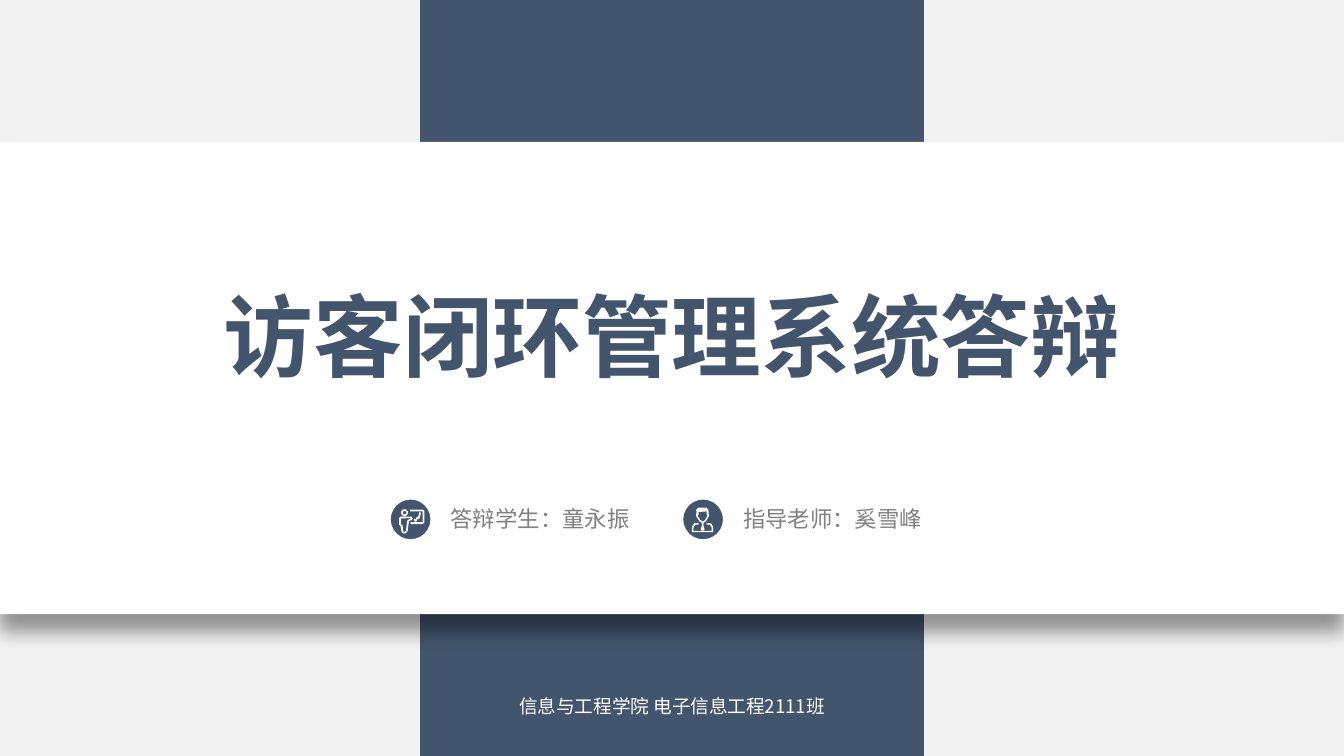
"""Build the title slide of a thesis defence."""
import pptx
import pptx.dml.color
import pptx.enum.shapes
import pptx.enum.text
import pptx.oxml.ns
import pptx.util
from lxml import etree

Pt = pptx.util.Pt
SHAPES = pptx.enum.shapes.MSO_SHAPE
FONT = "Noto Sans CJK SC"
NAVY, WHITE, GREY, PALE = "42556C", "FFFFFF", "808080", "F2F2F2"
WIDTH, HEIGHT = 720, 405
ICON_SIZE, ICON_TOP = 22.3, 267.1
ICON_UNIT = 0.072

TITLE = "访客闭环管理系统答辩"
DEPARTMENT = "信息与工程学院 电子信息工程2111班"

PRESENTER_ICON = [
    [(150, 82), (245, 82), (258, 92), (258, 178), (245, 190), (158, 190),
     (152, 183), (158, 176), (244, 176), (244, 95), (152, 95)],
    [(188, 172), (178, 155), (185, 150), (192, 157), (201, 136), (211, 139),
     (221, 102), (233, 105), (221, 150), (213, 154), (207, 151), (198, 172)],
    [(110, 132), (91, 124), (83, 105), (91, 86), (110, 78),
     (129, 86), (137, 105), (129, 124)],
    [(110, 92), (100, 96), (96, 105), (100, 115), (110, 119),
     (120, 115), (124, 105), (120, 96)],
    [(70, 145), (80, 134), (160, 134), (171, 148), (165, 159), (143, 168),
     (132, 245), (118, 260), (98, 260), (87, 245), (80, 204), (70, 195)],
    [(82, 148), (82, 191), (96, 201), (101, 248), (114, 248), (121, 240),
     (129, 168), (138, 157), (158, 149), (154, 146)],
]
TEACHER_ICON = [
    [(72, 250), (72, 210), (90, 182), (122, 182), (122, 194), (98, 194),
     (84, 212), (82, 240), (220, 240), (218, 212), (204, 194), (182, 194),
     (182, 182), (212, 182), (230, 210), (230, 250)],
    [(152, 242), (138, 228), (147, 196), (143, 185), (161, 185), (157, 196),
     (166, 228)],
    [(152, 183), (130, 172), (112, 145), (102, 128), (105, 112), (104, 85),
     (118, 67), (150, 68), (180, 67), (195, 85), (196, 112), (200, 128),
     (190, 145), (174, 172)],
    [(152, 171), (170, 160), (180, 140), (188, 128), (182, 118), (181, 95),
     (165, 97), (122, 100), (122, 118), (114, 128), (122, 140), (135, 160)],
]
PEOPLE = [
    ("答辩学生：童永振", 208.8, PRESENTER_ICON),
    ("指导老师：奚雪峰", 365.5, TEACHER_ICON),
]


def color(value):
    """Turn a hex string into a colour."""
    return pptx.dml.color.RGBColor.from_string(value)


def paint(shape, fill, line=None):
    """Set the fill and line of a shape and remove its shadow."""
    shape.shadow.inherit = False
    shape.fill.solid()
    shape.fill.fore_color.rgb = color(fill)
    if line:
        shape.line.color.rgb = color(line)
        shape.line.width = Pt(1)
    else:
        shape.line.fill.background()


def add_block(slide, kind, left, top, width, height, fill, line=None):
    """Add a painted preset shape."""
    shape = slide.shapes.add_shape(kind, Pt(left), Pt(top), Pt(width), Pt(height))
    paint(shape, fill, line)
    return shape


def add_shadow(shape):
    """Give a shape a soft shadow below it."""
    tag = pptx.oxml.ns.qn
    effects = shape._element.spPr.find(tag("a:effectLst"))
    shadow = etree.SubElement(effects, tag("a:outerShdw"), blurRad=str(Pt(10)),
                              dist=str(Pt(10)), dir="5400000", rotWithShape="0")
    shade = etree.SubElement(shadow, tag("a:srgbClr"), val="000000")
    etree.SubElement(shade, tag("a:alpha"), val="40000")


def add_icon(slide, contours, left, top):
    """Draw a white icon from closed contours."""
    builder = slide.shapes.build_freeform(*contours[0][0], scale=Pt(ICON_UNIT))
    for index, contour in enumerate(contours):
        if index:
            builder.move_to(*contour[0])
        builder.add_line_segments(contour[1:], close=True)
    paint(builder.convert_to_shape(Pt(left), Pt(top)), WHITE)


def add_text(slide, text, left, top, width, height, size, ink, bold=False, wrap=True):
    """Add a centred line of text."""
    box = slide.shapes.add_textbox(Pt(left), Pt(top), Pt(width), Pt(height))
    box.text_frame.word_wrap = wrap
    paragraph = box.text_frame.paragraphs[0]
    paragraph.alignment = pptx.enum.text.PP_ALIGN.CENTER
    run = paragraph.add_run()
    run.text = text
    run.font.size = Pt(size)
    run.font.bold = bold
    run.font.name = FONT
    run.font.color.rgb = color(ink)
    etree.SubElement(run.font._element, pptx.oxml.ns.qn("a:ea"), typeface=FONT)


def main():
    """Assemble and save the slide."""
    presentation = pptx.Presentation()
    presentation.slide_width, presentation.slide_height = Pt(WIDTH), Pt(HEIGHT)
    slide = presentation.slides.add_slide(presentation.slide_layouts[6])
    slide.background.fill.solid()
    slide.background.fill.fore_color.rgb = color(PALE)

    add_block(slide, SHAPES.RECTANGLE, 225, 0, 270, HEIGHT, NAVY)
    add_shadow(add_block(slide, SHAPES.RECTANGLE, 0, 76, WIDTH, 253, WHITE))
    for label, left, icon in PEOPLE:
        add_text(slide, label, left + 15.8, ICON_TOP, 129.6, 21.6, 12, GREY)
        add_block(slide, SHAPES.OVAL, left, ICON_TOP, ICON_SIZE, ICON_SIZE, NAVY, WHITE)
        add_icon(slide, icon, left, ICON_TOP)
    add_text(slide, DEPARTMENT, 269.5, 368.6, 181, 19.4, 10, WHITE)
    add_text(slide, TITLE, 112.8, 146.9, 494.4, 65.5, 48, NAVY, bold=True, wrap=False)
    presentation.save("out.pptx")


if __name__ == "__main__":
    main()
